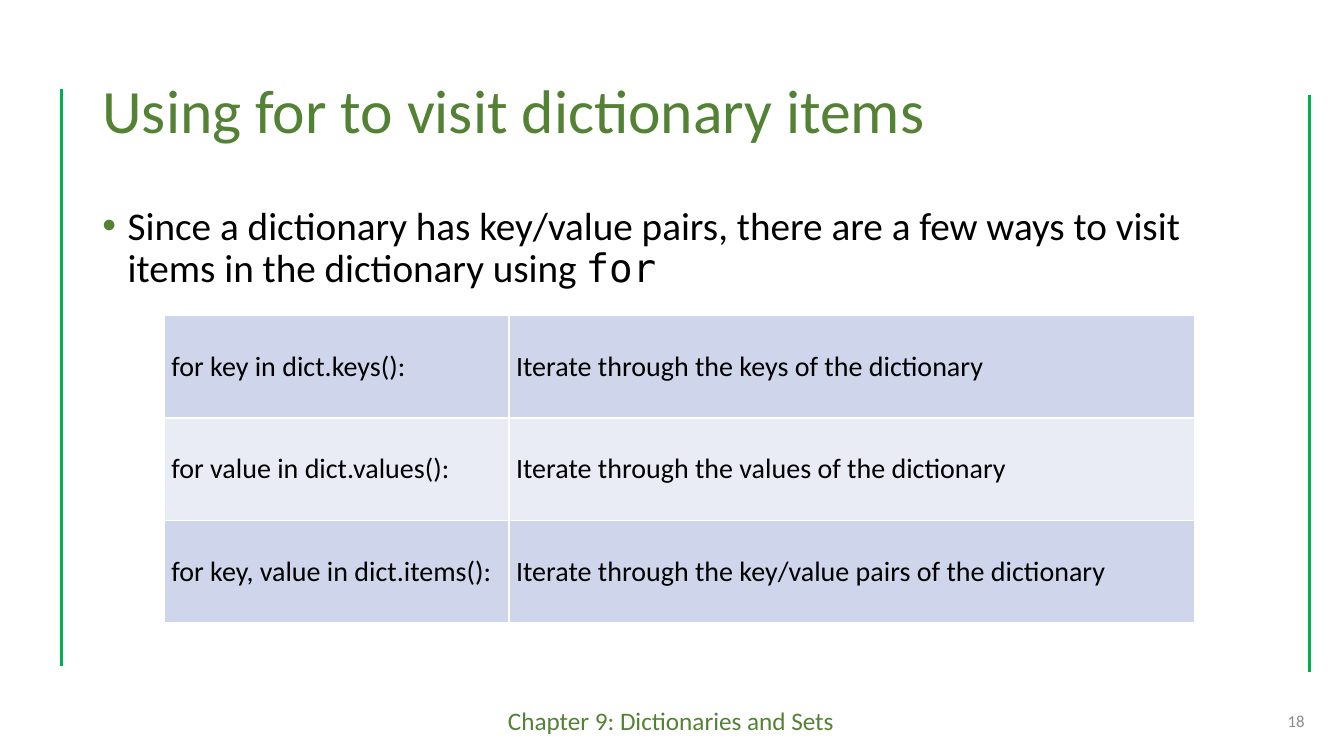
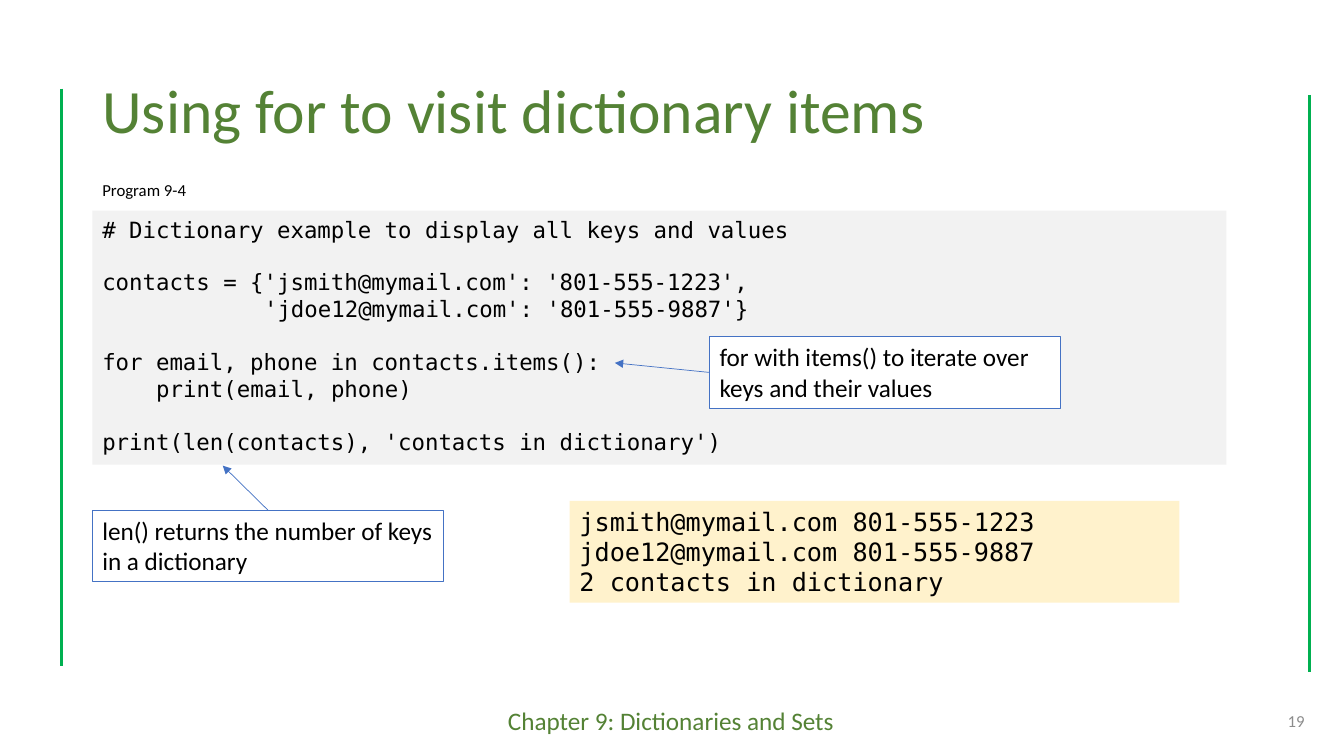
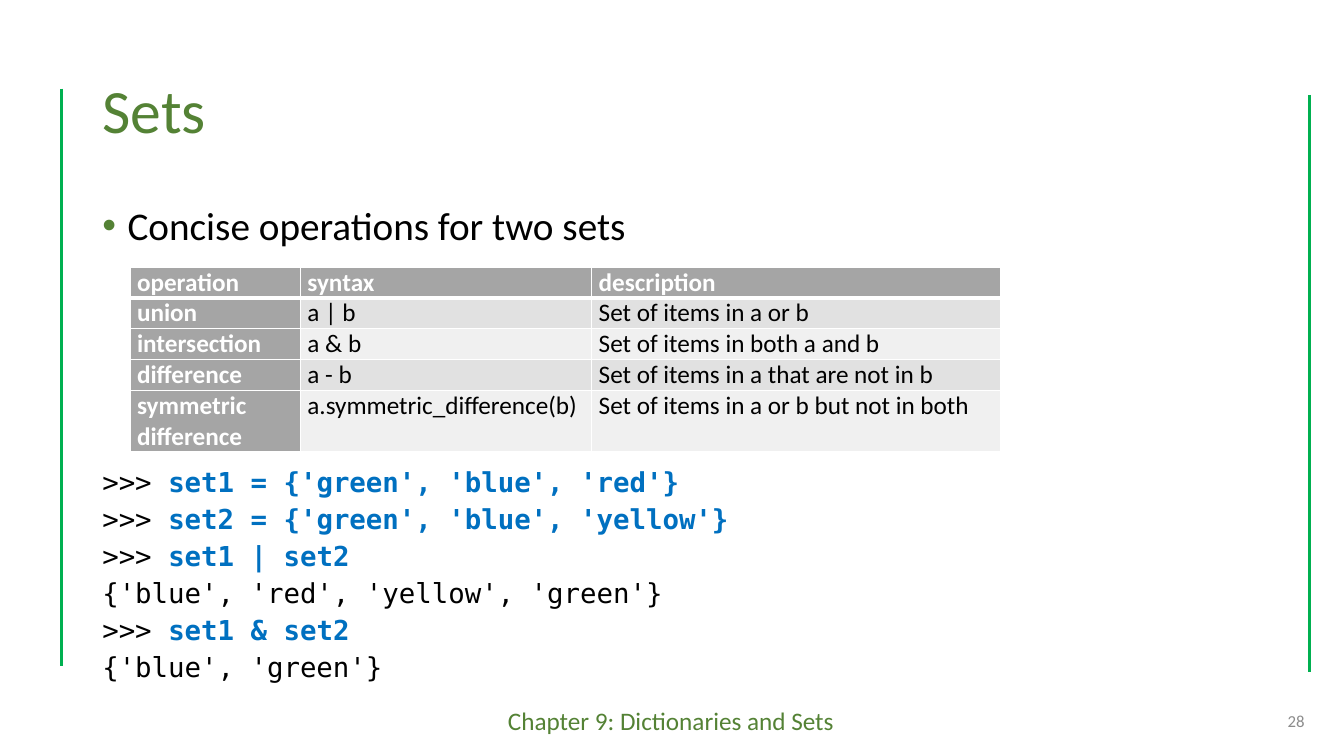
from dataclasses import dataclass

import pptx
import pptx.dml.color
import pptx.enum.shapes
import pptx.enum.text
import pptx.oxml
import pptx.oxml.ns
import pptx.util
from lxml import etree

Pt = pptx.util.Pt
qn = pptx.oxml.ns.qn
ALIGN = pptx.enum.text.PP_ALIGN
ANCHOR = pptx.enum.text.MSO_ANCHOR
RECTANGLE = pptx.enum.shapes.MSO_SHAPE.RECTANGLE
STRAIGHT = pptx.enum.shapes.MSO_CONNECTOR.STRAIGHT


@dataclass(frozen=True)
class Theme:
    font: str = "Calibri"
    mono: str = "DejaVu Sans Mono"
    mono_advance: float = 0.602
    mono_line: float = 1.164
    green: str = "548235"
    rule_green: str = "00B050"
    black: str = "000000"
    white: str = "FFFFFF"
    number_gray: str = "8C8C8C"
    listing_gray: str = "F2F2F2"
    output_yellow: str = "FFF2CC"
    callout_blue: str = "4472C4"
    input_blue: str = "0070C0"
    blue_bands: tuple = ("CFD5EA", "E9EBF5")
    gray_bands: tuple = ("E1E1E1", "F0F0F0")
    header_gray: str = "A5A5A5"
    title_size: float = 44
    body_size: float = 28
    large_size: float = 20
    session_size: float = 19.6
    text_size: float = 18
    code_size: float = 16
    small_size: float = 12


THEME = Theme()
LEFT = 66
CONTENT_WIDTH = 828
FOOTER_TOP, FOOTER_HEIGHT = 500.4, 28.8


def rgb(color):
    return pptx.dml.color.RGBColor.from_string(color)


def points(*lengths):
    return [Pt(length) for length in lengths]


def write(frame, text, *, size=THEME.text_size, color=THEME.black, font=THEME.font,
          bold=False, align=ALIGN.LEFT, spacing=None, before=None,
          indent=None, hanging=0, bullet_color=None):
    """Add one paragraph; text is a string or a list of (string, overrides)."""
    paragraph = frame.add_paragraph() if frame.text else frame.paragraphs[0]
    paragraph.alignment = align
    if spacing is not None:
        paragraph.line_spacing = spacing
    if before is not None:
        paragraph.space_before = Pt(before)
    properties = paragraph._p.get_or_add_pPr()
    if indent is not None:
        properties.set("marL", str(Pt(indent)))
        properties.set("indent", str(Pt(-hanging)))
    if bullet_color:
        bullet = etree.SubElement(properties, qn("a:buClr"))
        etree.SubElement(bullet, qn("a:srgbClr"), val=bullet_color)
    base = dict(size=size, color=color, font=font, bold=bold)
    for words, overrides in [(text, {})] if isinstance(text, str) else text:
        look = base | overrides
        run = paragraph.add_run()
        run.text = words
        run.font.size = Pt(look["size"])
        run.font.name = look["font"]
        run.font.bold = look["bold"]
        run.font.color.rgb = rgb(look["color"])


def write_code(frame, blocks, size=THEME.code_size):
    """Write blocks of (column, code) lines, one line of space between blocks."""
    for block_index, block in enumerate(blocks):
        for line_index, (column, code) in enumerate(block):
            gap = size * THEME.mono_line if block_index and not line_index else 0
            write(frame, code, size=size, font=THEME.mono, before=round(gap, 1),
                  indent=round(column * size * THEME.mono_advance, 1))


def add_text_area(slide, box, anchor=ANCHOR.TOP):
    frame = slide.shapes.add_textbox(*points(*box)).text_frame
    frame.word_wrap = True
    frame.vertical_anchor = anchor
    return frame


def add_panel(slide, box, fill, outline=None):
    panel = slide.shapes.add_shape(RECTANGLE, *points(*box))
    panel.shadow.inherit = False
    panel.fill.solid()
    panel.fill.fore_color.rgb = rgb(fill)
    if outline:
        panel.line.color.rgb = rgb(outline)
        panel.line.width = Pt(0.75)
    else:
        panel.line.fill.background()
    panel.text_frame.word_wrap = True
    panel.text_frame.vertical_anchor = ANCHOR.TOP
    return panel


def add_line(slide, start, end, color, width, arrow=False):
    line = slide.shapes.add_connector(STRAIGHT, *points(*start, *end))
    line.line.color.rgb = rgb(color)
    line.line.width = Pt(width)
    properties = line.element.spPr
    if arrow:
        etree.SubElement(properties.find(qn("a:ln")), qn("a:tailEnd"), type="triangle")
    etree.SubElement(properties, qn("a:effectLst"))
    return line


def add_callout(slide, left, top, text, side, target):
    """Add a note whose arrow leaves the given side and ends at target."""
    note = add_panel(slide, (left, top, 250.6, 51.1), THEME.white, THEME.callout_blue)
    write(note.text_frame, text)
    arrow = add_line(slide, (left, top), target, THEME.callout_blue, 0.5, arrow=True)
    arrow.begin_connect(note, side)


def set_borders(cell, bottom):
    properties = cell._tc.get_or_add_tcPr()
    for edge, width in (("L", 1), ("R", 1), ("T", 1), ("B", bottom)):
        border = etree.SubElement(properties, qn(f"a:ln{edge}"), w=str(Pt(width)))
        fill = etree.SubElement(border, qn("a:solidFill"))
        etree.SubElement(fill, qn("a:srgbClr"), val=THEME.white)


def add_grid(slide, left, top, widths, heights, rows, bands, *,
             size=THEME.text_size, headed=False, anchor=ANCHOR.TOP):
    """Add a banded table; headed gives it a dark first row and column."""
    grid = slide.shapes.add_table(len(heights), len(widths), *points(
        left, top, sum(widths), sum(heights))).table
    grid.first_row = grid.first_col = headed
    grid.horz_banding = False
    for column, width in zip(grid.columns, widths):
        column.width = Pt(width)
    for row_index, (row, height) in enumerate(zip(rows, heights)):
        grid.rows[row_index].height = Pt(height)
        for column_index, text in enumerate(row):
            cell = grid.cell(row_index, column_index)
            header = headed and (row_index == 0 or column_index == 0)
            set_borders(cell, 3 if headed and row_index == 0 else 1)
            cell.fill.solid()
            band = bands[(row_index - headed) % 2]
            cell.fill.fore_color.rgb = rgb(THEME.header_gray if header else band)
            cell.margin_left = cell.margin_right = Pt(5)
            cell.margin_top = cell.margin_bottom = 0
            cell.vertical_anchor = anchor
            write(cell.text_frame, text, size=size, bold=header,
                  color=THEME.white if header else THEME.black)


def place(shape, box):
    shape.left, shape.top, shape.width, shape.height = points(*box)


def add_slide(deck, layout, title, number):
    slide = deck.slides.add_slide(deck.slide_layouts.get_by_name(layout))
    write(slide.shapes.title.text_frame, title, size=THEME.title_size,
          color=THEME.green, spacing=0.9)
    page = add_text_area(slide, (723, FOOTER_TOP, 216, FOOTER_HEIGHT), ANCHOR.MIDDLE)
    write(page, str(number), size=THEME.small_size, color=THEME.number_gray,
          align=ALIGN.RIGHT)
    return slide


def write_bullet(slide, text, height):
    body = slide.placeholders[1]
    place(body, (LEFT, 144, CONTENT_WIDTH, height))
    body.text_frame.auto_size = pptx.enum.text.MSO_AUTO_SIZE.NONE
    write(body.text_frame, text, size=THEME.body_size, spacing=0.9, before=10,
          indent=18, hanging=18, bullet_color=THEME.green)


def prepare_master(deck):
    for placeholder in deck.slide_master.placeholders:
        if placeholder.placeholder_format.type == pptx.enum.shapes.PP_PLACEHOLDER.TITLE:
            place(placeholder, (LEFT, 28.8, CONTENT_WIDTH, 104.4))


def move_to_master(deck, slide, shapes):
    """Move shapes built on a slide to the master that all slides share."""
    tree = deck.slide_master.shapes.element
    for shape in shapes:
        tree.append(shape.element)
    for number, properties in enumerate(tree.iter(qn("p:cNvPr")), 1):
        properties.set("id", str(number))


def add_shared_frame(deck, slide):
    before = len(slide.shapes)
    footer = add_text_area(slide, (355.7, FOOTER_TOP, 248.4, FOOTER_HEIGHT))
    write(footer, "Chapter 9: Dictionaries and Sets", color=THEME.green)
    for x, top in ((44, 63.4), (935.3, 67.7)):
        add_line(slide, (x, top), (x, top + 412.5), THEME.rule_green, 2.25)
    move_to_master(deck, slide, list(slide.shapes)[before:])


def add_loop_forms(deck):
    slide = add_slide(deck, "Title and Content", "Using for to visit dictionary items", 18)
    write_bullet(slide, [
        ("Since a dictionary has key/value pairs, there are a few ways to visit "
         "items in the dictionary using ", {}),
        ("for", {"font": THEME.mono})], 342.7)
    add_grid(slide, 117.4, 225.4, (246.2, 489.6), [73.2] * 3, [
        ("for key in dict.keys():", "Iterate through the keys of the dictionary"),
        ("for value in dict.values():", "Iterate through the values of the dictionary"),
        ("for key, value in dict.items():",
         "Iterate through the key/value pairs of the dictionary"),
    ], THEME.blue_bands, size=THEME.large_size, anchor=ANCHOR.MIDDLE)
    return slide


def add_loop_program(deck):
    slide = add_slide(deck, "Title Only", "Using for to visit dictionary items", 19)
    listing = add_panel(slide, (LEFT, 150.5, 810, 181.4), THEME.listing_gray)
    write_code(listing.text_frame, [
        [(0, "# Dictionary example to display all keys and values")],
        [(0, "contacts = {'jsmith@mymail.com': '801-555-1223',"),
         (12, "'jdoe12@mymail.com': '801-555-9887'}")],
        [(0, "for email, phone in contacts.items():"),
         (4, "print(email, phone)")],
        [(0, "print(len(contacts), 'contacts in dictionary')")],
    ])
    output = add_panel(slide, (406.8, 357.8, 435.6, 72.7), THEME.output_yellow)
    write_code(output.text_frame, [[
        (0, "jsmith@mymail.com 801-555-1223"),
        (0, "jdoe12@mymail.com 801-555-9887"),
        (0, "2 contacts in dictionary")]], THEME.text_size)
    caption = add_text_area(slide, (LEFT, 124.6, 146.2, 21.6))
    write(caption, "Program 9-4", size=THEME.small_size)
    add_callout(slide, 506.9, 240.5,
                "for with items() to iterate over keys and their values", 1, (439.2, 259.2))
    add_callout(slide, LEFT, 364.3,
                "len() returns the number of keys in a dictionary", 0, (159.1, 332.6))


def add_set_operations(deck):
    slide = add_slide(deck, "Title and Content", "Sets", 28)
    write_bullet(slide, "Concise operations for two sets", 48.2)
    add_grid(slide, 92.9, 190.8, (121.7, 208.1, 292.3), [22] * 4 + [44], [
        ("operation", "syntax", "description"),
        ("union", "a | b", "Set of items in a or b"),
        ("intersection", "a & b", "Set of items in both a and b"),
        ("difference", "a - b", "Set of items in a that are not in b"),
        ("symmetric difference", "a.symmetric_difference(b)",
         "Set of items in a or b but not in both"),
    ], THEME.gray_bands, headed=True)
    session = add_text_area(slide, (LEFT, 334.8, 706.3, 165.6))
    typed = {"color": THEME.input_blue, "bold": True}
    prompt = (">>> ", {})
    for line in (
        [prompt, ("set1 = {'green', 'blue', 'red'}", typed)],
        [prompt, ("set2 = {'green', 'blue', 'yellow'}", typed)],
        [prompt, ("set1 | set2", typed)],
        "{'blue', 'red', 'yellow', 'green'}",
        [prompt, ("set1 & set2", typed)],
        "{'blue', 'green'}",
    ):
        write(session, line, size=THEME.session_size, font=THEME.mono,
              spacing=0.7, before=10)


def main():
    deck = pptx.Presentation()
    deck.slide_width, deck.slide_height = points(960, 540)
    prepare_master(deck)
    first_slide = add_loop_forms(deck)
    add_shared_frame(deck, first_slide)
    add_loop_program(deck)
    add_set_operations(deck)
    deck.save("out.pptx")


if __name__ == "__main__":
    main()
